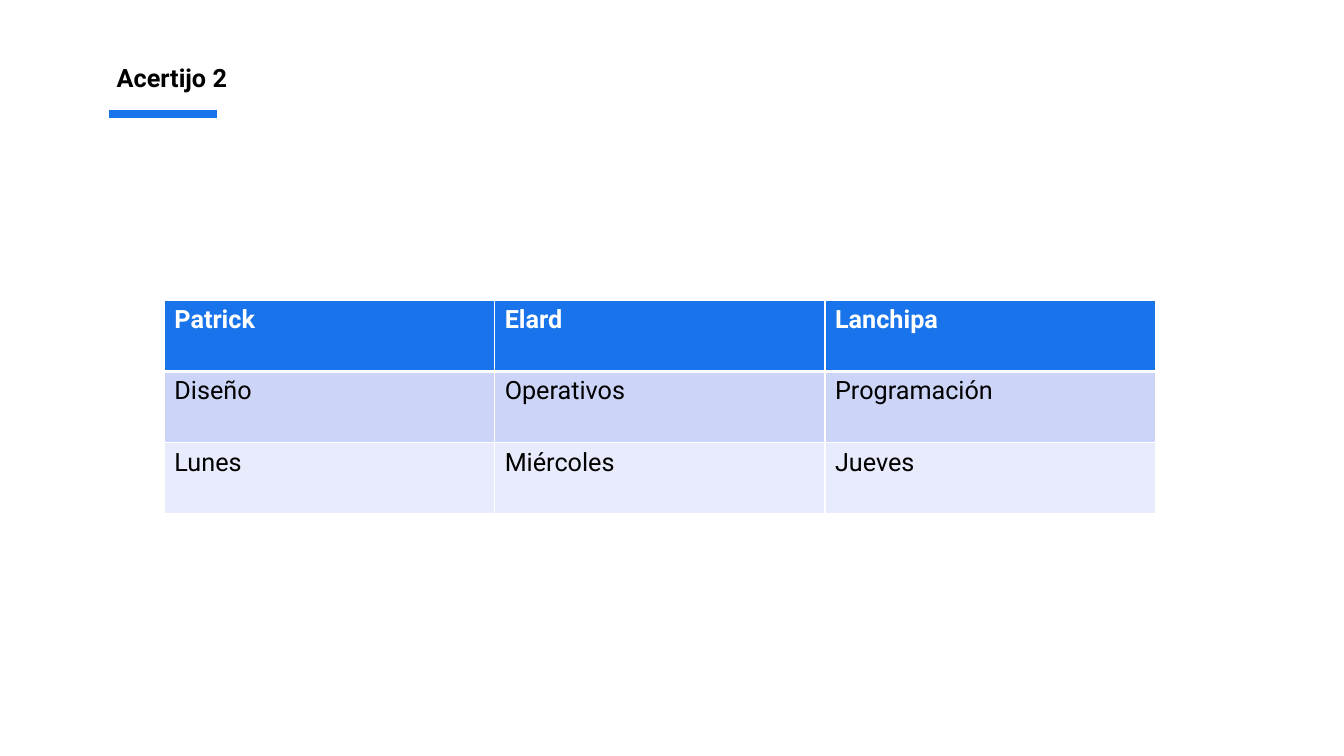
from lxml import etree
from pptx import Presentation
from pptx.dml.color import RGBColor
from pptx.enum.shapes import MSO_CONNECTOR
from pptx.oxml.ns import qn
from pptx.util import Inches, Pt

STRAIGHT = MSO_CONNECTOR.STRAIGHT
BLUE = RGBColor(0x19, 0x73, 0xEB)
PALE_BLUE = RGBColor(0xCC, 0xD5, 0xF7)
PALEST_BLUE = RGBColor(0xE8, 0xEB, 0xFB)
BLACK = RGBColor(0, 0, 0)
WHITE = RGBColor(255, 255, 255)

ANSWERS = [
    ["Patrick", "Elard", "Lanchipa"],
    ["Diseño", "Operativos", "Programación"],
    ["Lunes", "Miércoles", "Jueves"],
]
ROW_FILLS = [BLUE, PALE_BLUE, PALEST_BLUE]


def style_text(para, color, bold):
    """Set the common font of a paragraph."""
    font = para.font
    font.name, font.size, font.bold = "Roboto", Pt(18), bold
    font.color.rgb = color


def add_heading(page, text, left, top, width, height):
    """Add the heading with its short blue rule below."""
    box = page.shapes.add_textbox(left, top, width, height)
    box.text_frame.word_wrap = True
    para = box.text_frame.paragraphs[0]
    para.text = text
    style_text(para, BLACK, True)

    rule_left, rule_top = left + Inches(0.02), top + Inches(0.56)
    rule = page.shapes.add_connector(
        STRAIGHT, rule_left, rule_top, rule_left + Inches(1.07), rule_top)
    rule.line.color.rgb = BLUE
    rule.line.width = Pt(6)
    etree.SubElement(rule._element.spPr, qn("a:effectLst"))


def set_borders(cell, widths):
    """Give a cell white borders, with widths in points by side tag."""
    properties = cell._tc.get_or_add_tcPr()
    for index, (side, width) in enumerate(widths.items()):
        border = etree.Element(qn(f"a:{side}"), w=str(Pt(width)))
        fill = etree.SubElement(border, qn("a:solidFill"))
        etree.SubElement(fill, qn("a:srgbClr"), val=str(WHITE))
        properties.insert(index, border)


def add_answer_table(page, rows, left, top, width, height):
    """Add the table of answers, with a thick line under its header."""
    table = page.shapes.add_table(
        len(rows), len(rows[0]), left, top, width, height).table
    for row_index, (texts, fill) in enumerate(zip(rows, ROW_FILLS)):
        header = row_index == 0
        widths = {"lnL": 1, "lnR": 1, "lnT": 3 if row_index == 1 else 1,
                  "lnB": 3 if header else 1}
        for column_index, text in enumerate(texts):
            cell = table.cell(row_index, column_index)
            cell.text = text
            cell.fill.solid()
            cell.fill.fore_color.rgb = fill
            style_text(cell.text_frame.paragraphs[0],
                       WHITE if header else BLACK, header)
            set_borders(cell, widths)


deck = Presentation()
deck.slide_width, deck.slide_height = Inches(13.33), Inches(7.5)
page = deck.slides.add_slide(deck.slide_layouts[6])
add_heading(page, "Acertijo 2",
            Inches(1.06), Inches(0.57), Inches(3), Inches(0.4))
add_answer_table(page, ANSWERS,
                 Inches(1.63), Inches(2.98), Inches(9.83), Inches(2.12))
deck.save("out.pptx")
